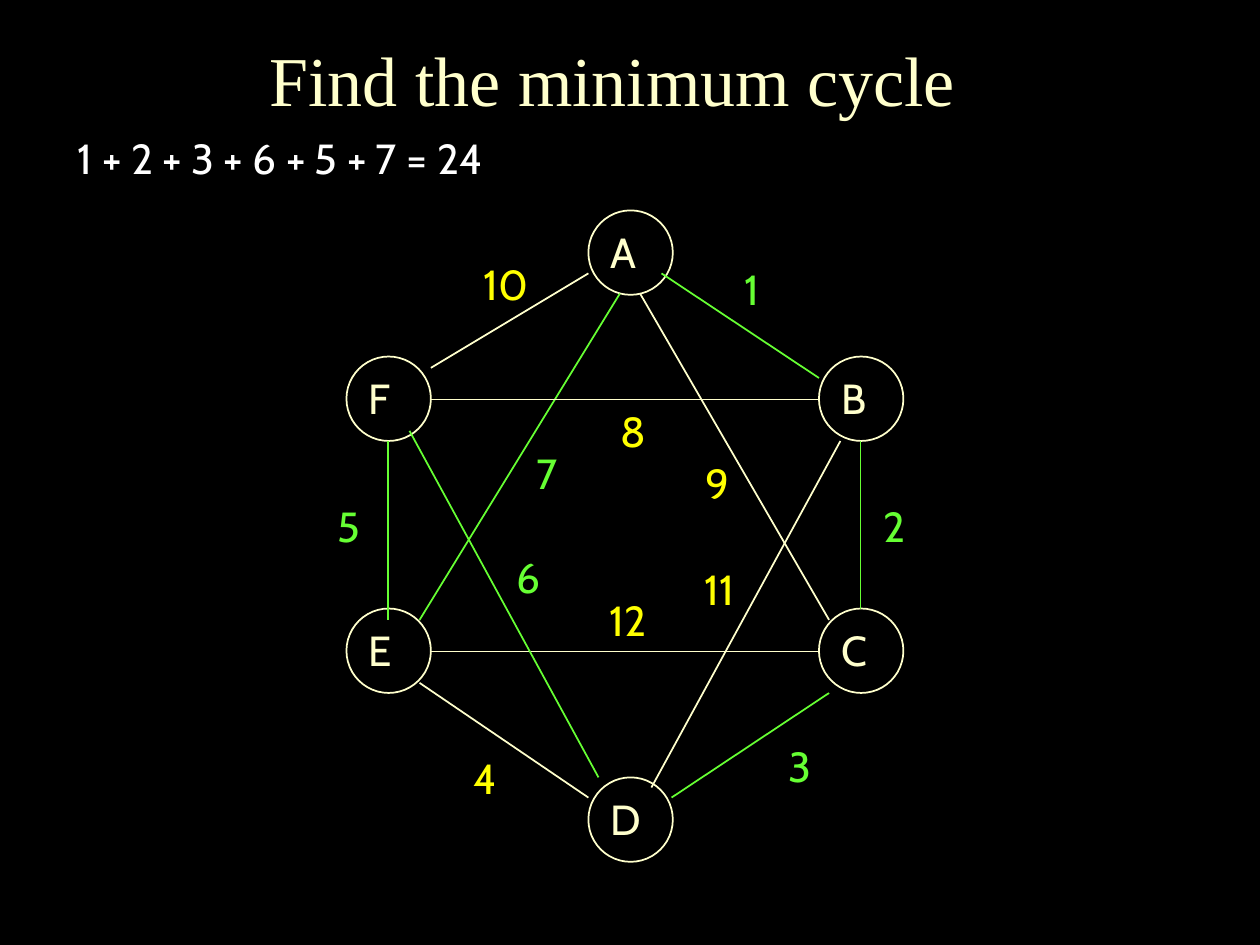
"""Build a slide showing a weighted graph with its minimum cycle highlighted."""
from lxml import etree
from pptx import Presentation
from pptx.dml.color import RGBColor
from pptx.enum.shapes import MSO_CONNECTOR, MSO_SHAPE
from pptx.enum.text import MSO_ANCHOR, MSO_AUTO_SIZE, PP_ALIGN
from pptx.oxml.ns import qn
from pptx.util import Inches, Pt

STRAIGHT = MSO_CONNECTOR.STRAIGHT
OVAL = MSO_SHAPE.OVAL
MIDDLE = MSO_ANCHOR.MIDDLE
FIT_SHAPE = MSO_AUTO_SIZE.SHAPE_TO_FIT_TEXT
CENTER = PP_ALIGN.CENTER
COLORS = {
    "background": "000000",
    "cream": "FFFFCC",
    "cycle": "66FF33",
    "weight": "FFFF00",
    "sum": "FFFFFF",
}
DIAMETER = 0.67
LABEL_INSET = 0.08
LABEL_HEIGHT = 0.56


def style_font(font, name, size, color):
    font.name = name
    font.size = Pt(size)
    font.color.rgb = RGBColor.from_string(COLORS[color])


def add_label(page, text, left, top, width, color):
    box = page.shapes.add_textbox(
        Inches(left), Inches(top), Inches(width), Inches(LABEL_HEIGHT)
    )
    box.text_frame.word_wrap = False
    box.text_frame.auto_size = FIT_SHAPE
    para = box.text_frame.paragraphs[0]
    para.text = text
    style_font(para.font, "Cabin", 24, color)


deck = Presentation()
deck.slide_width = Inches(10)
deck.slide_height = Inches(7.5)
page = deck.slides.add_slide(deck.slide_layouts[5])
page.background.fill.solid()
page.background.fill.fore_color.rgb = RGBColor.from_string(COLORS["background"])

title = page.shapes.title
title.left, title.top = Inches(0), Inches(0.25)
title.width, title.height = Inches(9.72), Inches(0.75)
title.text_frame.vertical_anchor = MIDDLE
title.text_frame.auto_size = FIT_SHAPE
heading = title.text_frame.paragraphs[0]
heading.text = "Find the minimum cycle"
heading.alignment = CENTER
style_font(heading.font, "Times New Roman", 40, "cream")

nodes = {
    "A": (4.67, 1.67),
    "B": (6.5, 2.83),
    "C": (6.5, 4.83),
    "D": (4.67, 6.17),
    "E": (2.75, 4.83),
    "F": (2.75, 2.83),
}
for name, (left, top) in nodes.items():
    circle = page.shapes.add_shape(
        OVAL, Inches(left), Inches(top), Inches(DIAMETER), Inches(DIAMETER)
    )
    circle.shadow.inherit = False
    circle.fill.background()
    circle.line.color.rgb = RGBColor.from_string(COLORS["cream"])
    circle.line.width = Pt(1)
    add_label(page, name, left + LABEL_INSET, top + LABEL_INSET, 0.39, "cream")

cycle_weights = {1, 2, 3, 5, 6, 7}
edges = [
    (1, (5.25, 2.17), (6.5, 3), (5.81, 2.04)),
    (2, (6.83, 3.5), (6.83, 4.83), (6.91, 3.92)),
    (3, (6.58, 5.5), (5.33, 6.33), (6.16, 5.83)),
    (4, (3.33, 5.42), (4.67, 6.33), (3.66, 5.92)),
    (5, (3.08, 3.5), (3.08, 4.92), (2.58, 3.92)),
    (10, (3.42, 2.92), (4.67, 2.17), (3.74, 2)),
    (9, (5.08, 2.33), (6.58, 4.92), (5.5, 3.58)),
    (12, (6.5, 5.17), (3.42, 5.17), (4.74, 4.67)),
    (7, (4.92, 2.33), (3.33, 4.92), (4.16, 3.5)),
    (8, (3.42, 3.17), (6.5, 3.17), (4.83, 3.17)),
    (11, (6.67, 3.5), (5.17, 6.25), (5.49, 4.42)),
    (6, (3.25, 3.42), (4.75, 6.17), (4, 4.33)),
]
for weight, start, end, label_corner in edges:
    in_cycle = weight in cycle_weights
    edge = page.shapes.add_connector(
        STRAIGHT, *[Inches(value) for value in start + end]
    )
    edge.line.color.rgb = RGBColor.from_string(COLORS["cycle" if in_cycle else "cream"])
    edge.line.width = Pt(1)
    etree.SubElement(edge._element.spPr, qn("a:effectLst"))
    width = 0.39 if weight < 10 else 0.58
    add_label(page, str(weight), *label_corner, width, "cycle" if in_cycle else "weight")

add_label(page, "1 + 2 + 3 + 6 + 5 + 7 = 24", 0.52, 1, 3.99, "sum")

deck.save("out.pptx")
